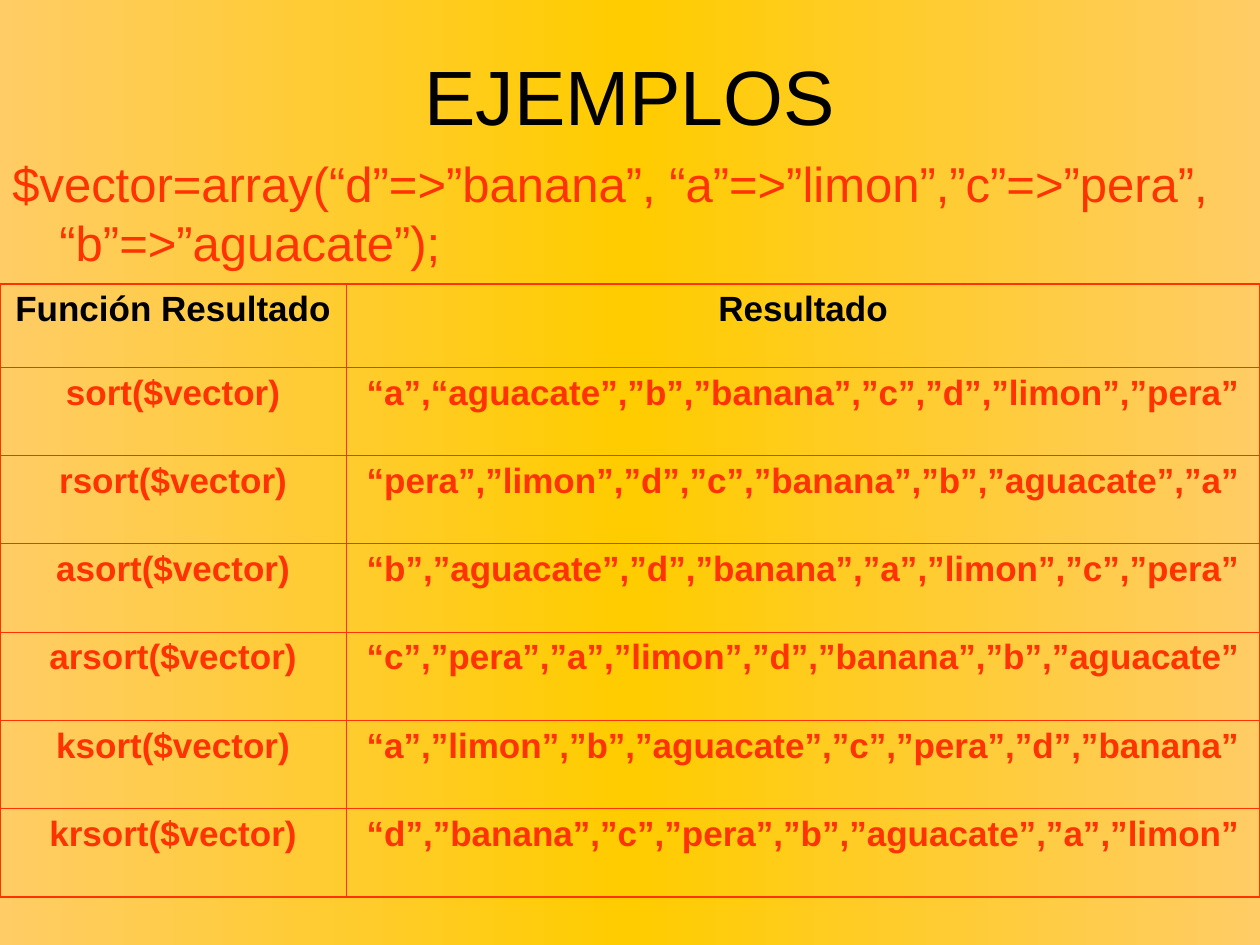
from copy import deepcopy
from typing import NamedTuple

from lxml import etree
from pptx import Presentation
from pptx.dml.color import RGBColor
from pptx.enum.text import MSO_ANCHOR, PP_ALIGN
from pptx.oxml.ns import qn
from pptx.util import Cm, Pt

LEFT, CENTER = PP_ALIGN.LEFT, PP_ALIGN.CENTER
TOP, MIDDLE = MSO_ANCHOR.TOP, MSO_ANCHOR.MIDDLE

FONT = "Arial"
BLACK, RED = "000000", "FF3300"
PEACH, GOLD = "FFCC66", "FFCC00"
WIDTH, HEIGHT = 25.4, 19.05
THIN, THICK = 0.45, 1.08


class Row(NamedTuple):
    call: str
    result: str
    height: float = 1.78
    color: str = RED


ROWS = [
    Row("Función Resultado", "Resultado", 1.68, BLACK),
    Row("sort($vector)", "“a”,“aguacate”,”b”,”banana”,”c”,”d”,”limon”,”pera”"),
    Row("rsort($vector)", "“pera”,”limon”,”d”,”c”,”banana”,”b”,”aguacate”,”a”"),
    Row("asort($vector)", "“b”,”aguacate”,”d”,”banana”,”a”,”limon”,”c”,”pera”"),
    Row("arsort($vector)", "“c”,”pera”,”a”,”limon”,”d”,”banana”,”b”,”aguacate”"),
    Row("ksort($vector)", "“a”,”limon”,”b”,”aguacate”,”c”,”pera”,”d”,”banana”"),
    Row("krsort($vector)", "“d”,”banana”,”c”,”pera”,”b”,”aguacate”,”a”,”limon”"),
]
COLS = [6.98, 18.42]


def rgb(code: str) -> RGBColor:
    return RGBColor.from_string(code)


def write(frame, text: str, *, size: float, color: str, bold: bool = False,
          align=LEFT, before: float = 0, hang: float = 0) -> None:
    """Fill a text frame with one paragraph; hang is its hanging indent in cm."""
    frame.word_wrap = True
    para = frame.paragraphs[0]
    para.alignment = align
    para.space_before = Pt(before)
    if hang:
        props = para._p.get_or_add_pPr()
        props.set("marL", str(Cm(hang)))
        props.set("indent", str(-Cm(hang)))
    run = para.add_run()
    run.text = text
    font = run.font
    font.name, font.size, font.bold = FONT, Pt(size), bold
    font.color.rgb = rgb(color)


def add_text(slide, text: str, left: float, top: float, width: float,
             height: float, anchor=TOP, **style) -> None:
    box = slide.shapes.add_textbox(Cm(left), Cm(top), Cm(width), Cm(height))
    box.text_frame.vertical_anchor = anchor
    write(box.text_frame, text, **style)


def paint(slide) -> None:
    """Give the background a three-stop horizontal gradient."""
    fill = slide.background.fill
    fill.gradient()
    fill.gradient_angle = 0
    stops = slide._element.find(".//" + qn("a:gsLst"))
    stops.append(deepcopy(stops[-1]))
    for stop, place, code in zip(fill.gradient_stops, (0, 0.5, 1), (PEACH, GOLD, PEACH)):
        stop.position = place
        stop.color.rgb = rgb(code)


def edge(cell, side: str, width: float) -> None:
    line = etree.SubElement(cell._tc.get_or_add_tcPr(), qn("a:ln" + side),
                            w=str(Pt(width)))
    solid = etree.SubElement(line, qn("a:solidFill"))
    etree.SubElement(solid, qn("a:srgbClr"), val=RED)


def add_grid(slide, rows: list[Row], cols: list[float], top: float) -> None:
    tall = sum(row.height for row in rows)
    grid = slide.shapes.add_table(len(rows), len(cols), Cm(0), Cm(top),
                                  Cm(sum(cols)), Cm(tall)).table
    grid.first_row = grid.horz_banding = False
    for col, width in zip(grid.columns, cols):
        col.width = Cm(width)
    for r, row in enumerate(rows):
        grid.rows[r].height = Cm(row.height)
        for c, text in enumerate((row.call, row.result)):
            cell = grid.cell(r, c)
            outer = {"L": c == 0, "R": c == len(cols) - 1,
                     "T": r == 0, "B": r == len(rows) - 1}
            for side, rim in outer.items():
                edge(cell, side, THICK if rim else THIN)
            cell.fill.background()
            write(cell.text_frame, text, size=20, color=row.color, bold=True,
                  align=CENTER, before=5)


def main() -> None:
    deck = Presentation()
    deck.slide_width, deck.slide_height = Cm(WIDTH), Cm(HEIGHT)
    slide = deck.slides.add_slide(deck.slide_layouts[6])
    paint(slide)
    add_text(slide, "$vector=array(“d”=>”banana”, “a”=>”limon”,”c”=>”pera”, “b”=>”aguacate”);",
             0, 2.97, 24.77, 2.97, size=28, color=RED, before=7, hang=0.95)
    add_grid(slide, ROWS, COLS, 5.72)
    add_text(slide, "EJEMPLOS", 0, 0, WIDTH, 3.81, MIDDLE,
             size=44, color=BLACK, align=CENTER)
    deck.save("out.pptx")


if __name__ == "__main__":
    main()
